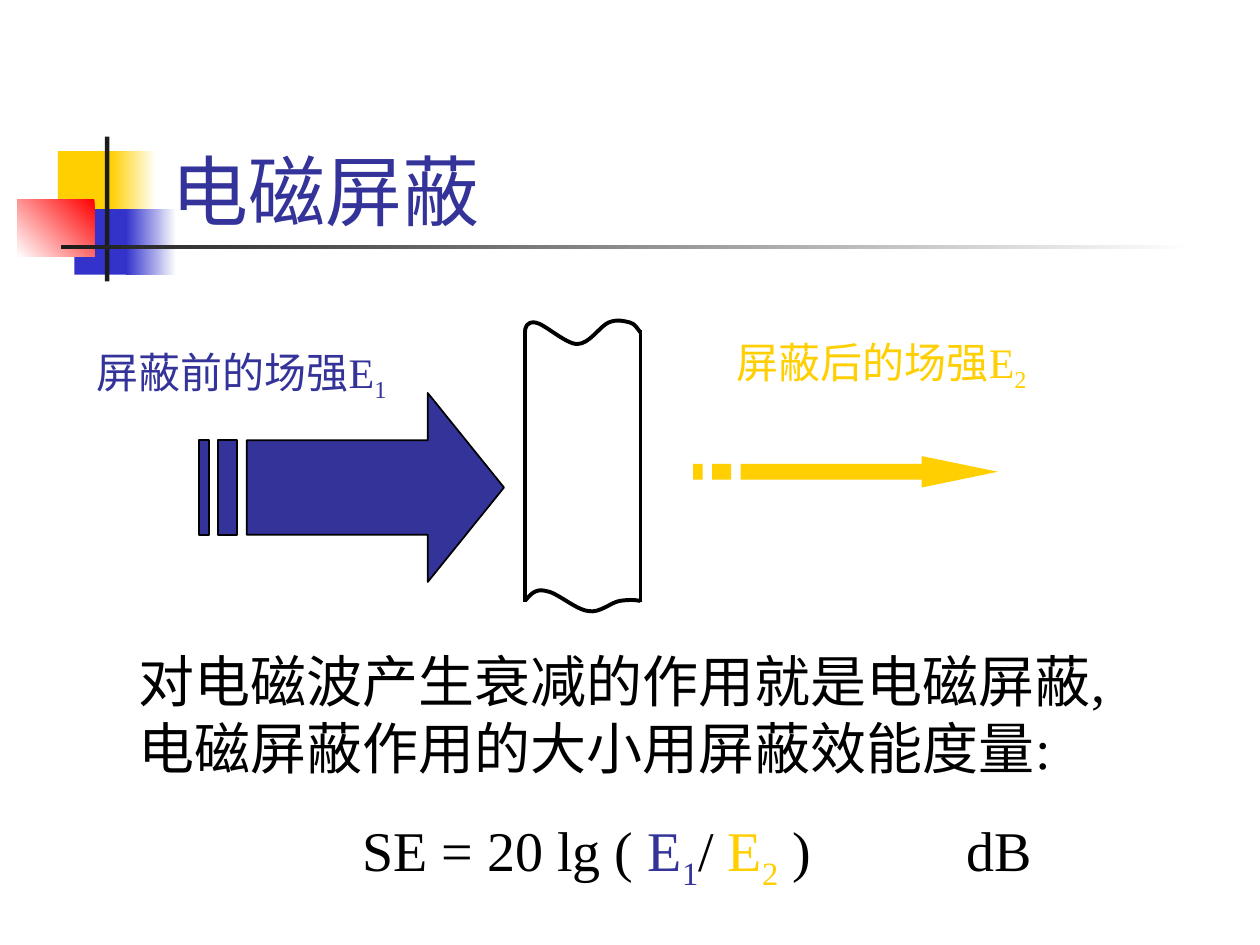
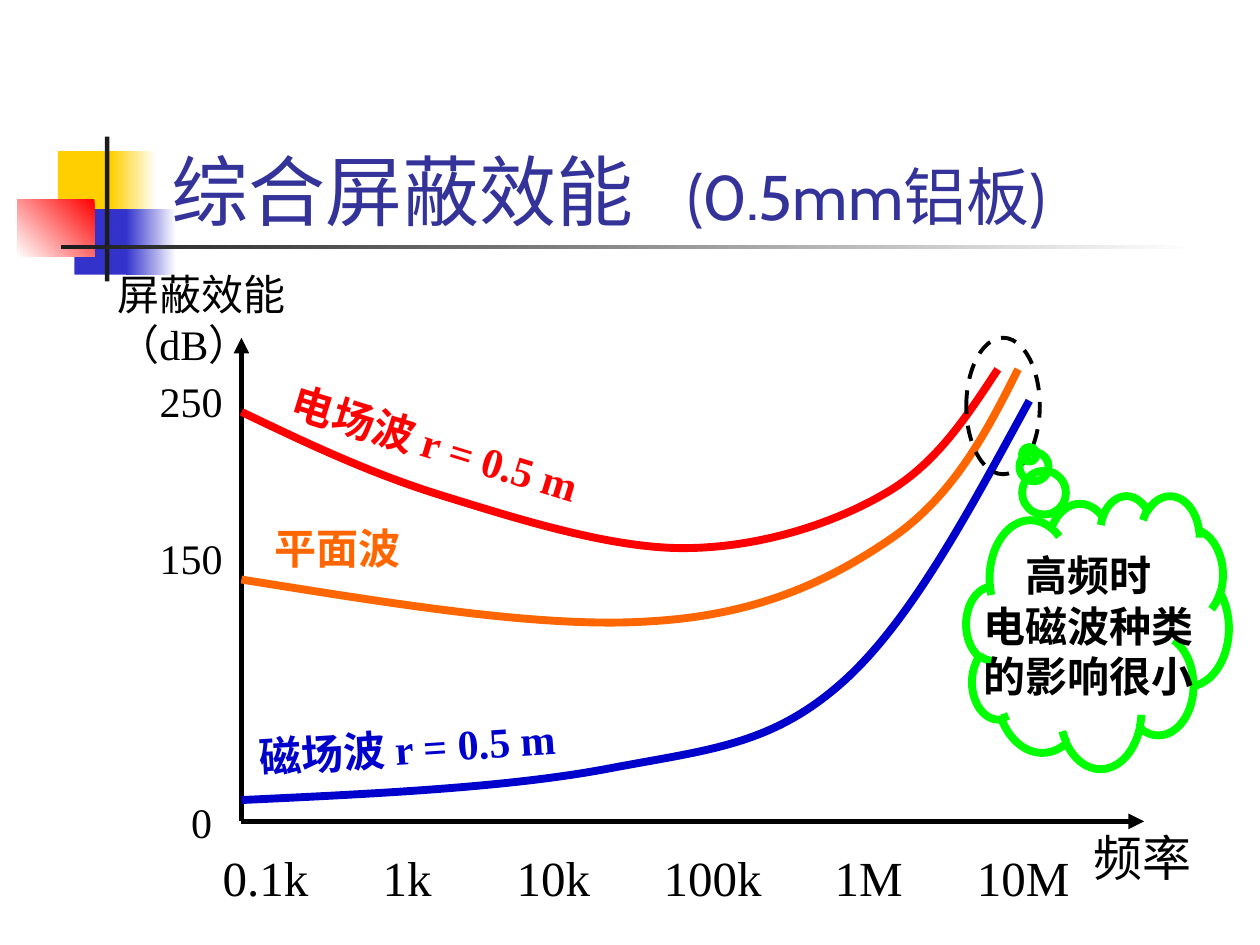
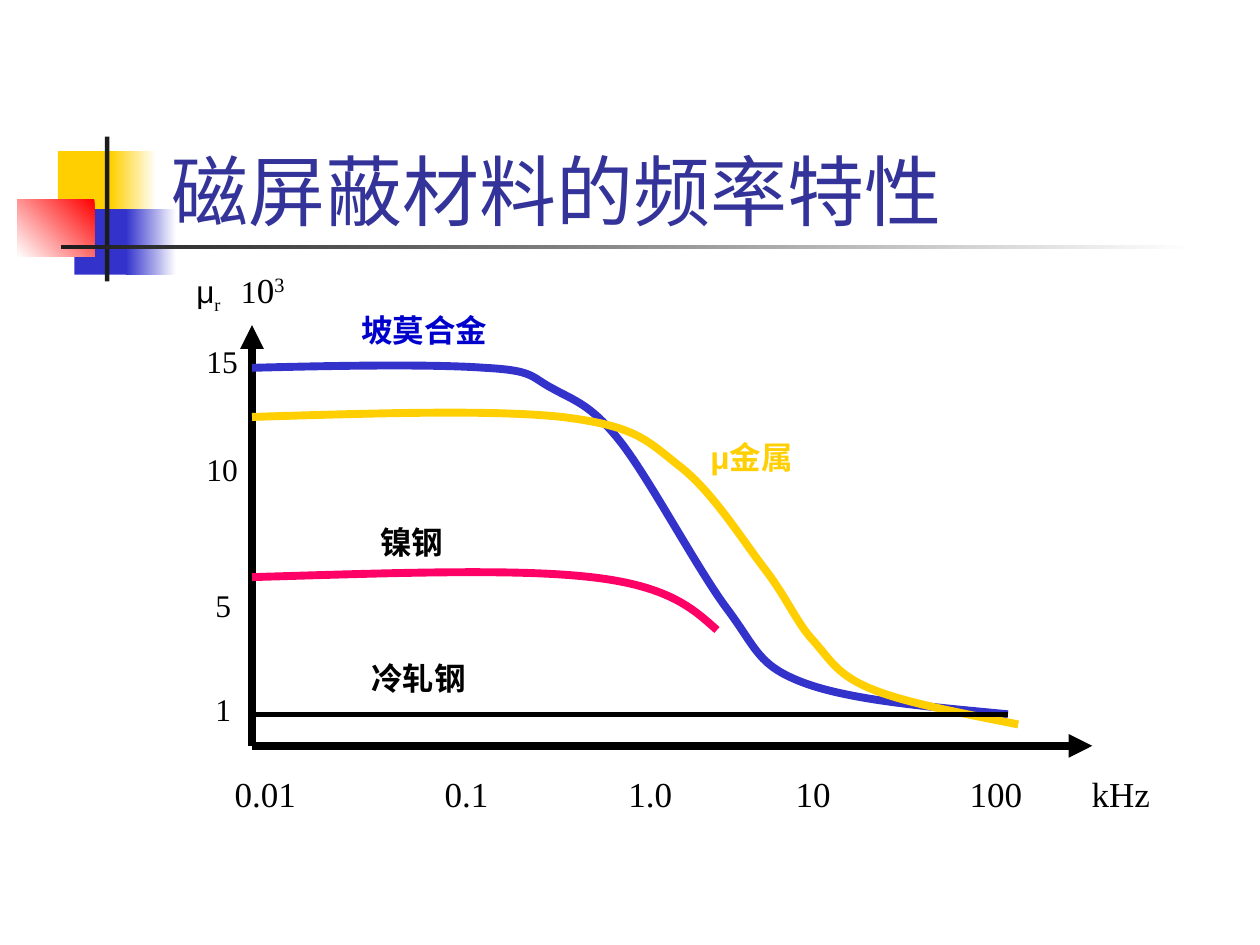
import lxml.etree
import pptx
import pptx.dml.color
import pptx.enum.dml
import pptx.enum.shapes
import pptx.enum.text
import pptx.oxml.ns
import pptx.util

Pt = pptx.util.Pt
qn = pptx.oxml.ns.qn
RGB = pptx.dml.color.RGBColor.from_string
SHAPE = pptx.enum.shapes.MSO_SHAPE
CENTER = pptx.enum.text.PP_ALIGN.CENTER

COLOURS = {
    "black": "000000",
    "white": "FFFFFF",
    "charcoal": "1C1C1C",
    "navy": "333399",
    "blue": "3333CC",
    "deep blue": "0000CC",
    "yellow": "FFCF01",
    "red": "FF0000",
    "orange": "FF6600",
    "pink": "FF0066",
    "green": "00FF00",
}


def add_stroke(page, points, colour, width, arrow=False):
    ends = [(Pt(x), Pt(y)) for x, y in points]
    if len(ends) == 2:
        straight = pptx.enum.shapes.MSO_CONNECTOR.STRAIGHT
        stroke = page.shapes.add_connector(straight, *ends[0], *ends[1])
    else:
        builder = page.shapes.build_freeform(*ends[0])
        builder.add_line_segments(ends[1:], close=False)
        stroke = builder.convert_to_shape()
        stroke.fill.background()
        outline = stroke._element.find(".//" + qn("a:path"))
        segments = outline.findall(qn("a:lnTo"))
        for start in range(0, len(segments), 3):
            bezier = lxml.etree.SubElement(outline, qn("a:cubicBezTo"))
            for segment in segments[start:start + 3]:
                bezier.append(segment[0])
                outline.remove(segment)
    stroke.line.color.rgb = RGB(COLOURS[colour])
    stroke.line.width = Pt(width)
    if arrow:
        head = lxml.etree.SubElement(stroke.line._get_or_add_ln(), qn("a:tailEnd"))
        head.set("type", "triangle")
    if len(ends) == 2:
        lxml.etree.SubElement(stroke._element.spPr, qn("a:effectLst"))
    else:
        stroke.shadow.inherit = False


def write_text(box, paragraphs, size, colour, bold=False, font="Times New Roman", tabs=()):
    frame = box.text_frame
    frame.word_wrap = True
    for number, pieces in enumerate(paragraphs):
        para = frame.add_paragraph() if number else frame.paragraphs[0]
        if tabs:
            stops = lxml.etree.SubElement(para._p.get_or_add_pPr(), qn("a:tabLst"))
            for position in tabs:
                stop = lxml.etree.SubElement(stops, qn("a:tab"))
                stop.set("pos", str(Pt(position)))
                stop.set("algn", "l")
        for piece in [(pieces, {})] if isinstance(pieces, str) else pieces:
            text, style = piece
            span = para.add_run()
            span.text = text
            span.font.size = Pt(style.get("size", size))
            span.font.name = style.get("font", font)
            span.font.bold = bold
            span.font.color.rgb = RGB(COLOURS[style.get("colour", colour)])
            if "baseline" in style:
                span._r.get_or_add_rPr().set("baseline", str(style["baseline"]))


deck = pptx.Presentation()
deck.slide_width, deck.slide_height = Pt(720), Pt(540)

DECORATION = [
    (33.12, 86.4, 34.56, 37.44, ["yellow"], None),
    (63.36, 86.4, 25.92, 37.44, ["white", "yellow"], 180),
    (42.48, 119.52, 33.12, 37.44, ["blue"], None),
    (72, 119.52, 28.8, 37.44, ["white", "blue"], 180),
    (10.08, 113.76, 43.92, 33.12, ["red", "white"], 225),
    (60, 78, 2.5, 82.8, ["charcoal"], None),
    (34.8, 140, 648, 2.5, ["white", "charcoal"], 180),
]
TITLES = [
    [("电磁屏蔽", {})],
    [("综合屏蔽效能\t", {}), ("(0.5mm铝板)", {"size": 36})],
    [("磁屏蔽材料的频率特性", {})],
]

pages = []
for title in TITLES:
    page = deck.slides.add_slide(deck.slide_layouts[6])
    pages.append(page)
    for left, top, width, height, fills, angle in DECORATION:
        block = page.shapes.add_shape(SHAPE.RECTANGLE, Pt(left), Pt(top), Pt(width), Pt(height))
        block.shadow.inherit = False
        block.line.fill.background()
        if angle is None:
            block.fill.solid()
            block.fill.fore_color.rgb = RGB(COLOURS[fills[0]])
        else:
            block.fill.gradient()
            block.fill.gradient_angle = angle
            for stop, colour in zip(block.fill.gradient_stops, fills):
                stop.color.rgb = RGB(COLOURS[colour])
    box = page.shapes.add_textbox(Pt(90.7), Pt(48.2), Pt(613.4), Pt(90))
    write_text(box, [title], 44, "navy", font="Cabin", tabs=[295])
    box.text_frame.vertical_anchor = pptx.enum.text.MSO_ANCHOR.BOTTOM

shielding, effectiveness, materials = pages

for x in (300, 366):
    add_stroke(shielding, [(x, 188.6), (x, 344.2)], "black", 2.25)
add_stroke(shielding, [
    (300, 190), (300, 187.2), (301, 183.6), (306, 184.3),
    (311, 185), (323.3, 196.6), (329.8, 196.6),
    (337, 196.6), (342.7, 186.5), (347.8, 184.3),
    (352.8, 182.2), (357.1, 183.6), (360, 184.3),
    (362.9, 185), (364.3, 187.9), (366, 190),
], "black", 2.25)
add_stroke(shielding, [
    (300, 343.4), (303.1, 339.8), (306, 336.2), (311.8, 337.7),
    (318.2, 338.4), (329, 348.5), (336.2, 349.2),
    (342.7, 350.6), (349.2, 344.2), (354.2, 343.4),
    (359.3, 342.7), (362.2, 342.7), (366, 343.4),
], "black", 2.25)

BODY = [(5 / 32, 1 / 4), (3 / 4, 1 / 4), (3 / 4, 0), (1, 1 / 2),
        (3 / 4, 1), (3 / 4, 3 / 4), (5 / 32, 3 / 4)]
STRIPES = [[(start, 1 / 4), (end, 1 / 4), (end, 3 / 4), (start, 3 / 4)]
           for start, end in ((0, 1 / 32), (1 / 16, 1 / 8))]
for left, top, width, height, colour, outlined in [
    (113.8, 224.6, 174.2, 108, "navy", True),
    (396, 260.6, 174.2, 18, "yellow", False),
]:
    contours = [[(Pt(left + x * width), Pt(top + y * height)) for x, y in contour]
                for contour in [BODY, *STRIPES]]
    builder = shielding.shapes.build_freeform(*contours[0][0])
    builder.add_line_segments(contours[0][1:], close=True)
    for contour in contours[1:]:
        builder.move_to(*contour[0])
        builder.add_line_segments(contour[1:], close=True)
    wave = builder.convert_to_shape()
    wave.shadow.inherit = False
    wave.fill.solid()
    wave.fill.fore_color.rgb = RGB(COLOURS[colour])
    if outlined:
        wave.line.color.rgb = RGB(COLOURS["black"])
        wave.line.width = Pt(1)
    else:
        wave.line.fill.background()

for page, corner, top, right, width in [
    (effectiveness, (138, 469.4), 193, 653.8, 3),
    (materials, (144, 426.2), 185.8, 624.2, 4.5),
]:
    add_stroke(page, [corner, (corner[0], top)], "black", width, arrow=True)
    add_stroke(page, [corner, (right, corner[1])], "black", width, arrow=True)

CURVES = [
    (effectiveness, "red", [
        (138, 235.4), (174.2, 252.7), (210.2, 270), (252, 283),
        (293.8, 295.9), (347.8, 313.2), (390.2, 313.2),
        (432, 313.2), (473.8, 300.2), (504, 283),
        (534.2, 266.4), (552.2, 238.3), (570.2, 211)]),
    (effectiveness, "orange", [
        (138, 331.2), (223.9, 344.9), (310.3, 359.3), (372.2, 355),
        (434.2, 351.4), (475.2, 331.2), (509.8, 307.4),
        (545, 283), (563.8, 247), (581.8, 211)]),
    (effectiveness, "deep blue", [
        (138, 457.2), (214.6, 453.6), (290.9, 450), (347.8, 439.2),
        (404.6, 428.4), (439.9, 426.2), (480.2, 391),
        (519.8, 356.4), (553.7, 292.3), (588.2, 229)]),
    (materials, "blue", [
        (144, 210.2), (195.8, 208.8), (248.4, 208.1), (277.2, 210.2),
        (305.3, 211.7), (303.1, 215.3), (315.4, 221.8),
        (328.3, 229), (337.7, 231.1), (354.2, 252),
        (370.8, 272.9), (398.2, 324.7), (415.4, 347.8),
        (432.7, 370.8), (432.7, 380.2), (459.4, 390.2),
        (486.7, 400.3), (531.4, 403.9), (576, 408.2)]),
    (materials, "yellow", [
        (144, 238.3), (212.4, 236.2), (280.8, 234), (321.1, 238.3),
        (362.2, 243.4), (368.6, 250.6), (387.4, 265.7),
        (406.8, 280.1), (424.8, 309.6), (437.8, 326.2),
        (450.7, 343.4), (455, 355.7), (465.1, 366.5),
        (475.2, 378), (478.8, 385.9), (498.2, 393.8),
        (517.7, 401.8), (549.4, 407.5), (581.8, 414)]),
    (materials, "pink", [
        (144, 329.8), (218.9, 327.6), (293.8, 324.7), (337.7, 329.8),
        (382.3, 334.8), (396, 347.8), (409.7, 360)]),
]
for page, colour, points in CURVES:
    add_stroke(page, points, colour, 4.5)
add_stroke(materials, [(144, 408.2), (576, 408.2)], "black", 3)

ring = effectiveness.shapes.add_shape(SHAPE.OVAL, Pt(552.2), Pt(193), Pt(42), Pt(78))
ring.line.dash_style = pptx.enum.dml.MSO_LINE.DASH
cloud = effectiveness.shapes.add_shape(
    SHAPE.CLOUD_CALLOUT, Pt(552.2), Pt(283), Pt(150), Pt(156))
cloud.adjustments[0] = -0.26
cloud.adjustments[1] = -0.65
for shape, colour, width in ((ring, "black", 2.25), (cloud, "green", 4.5)):
    shape.shadow.inherit = False
    shape.fill.background()
    shape.line.color.rgb = RGB(COLOURS[colour])
    shape.line.width = Pt(width)
write_text(cloud, ["高频时", "电磁波种类", "的影响很小"], 24, "black", bold=True)
cloud.text_frame.word_wrap = False
cloud.text_frame.vertical_anchor = pptx.enum.text.MSO_ANCHOR.MIDDLE
for para in cloud.text_frame.paragraphs:
    para.alignment = CENTER

subscript = {"baseline": -25000}
LABELS = [
    (shielding, (48.2, 194.4, 192.2, 40.3), [("屏蔽前的场强E", {}), ("1", subscript)], 24, "navy", False),
    (shielding, (414, 188.6, 192.2, 40.3), [("屏蔽后的场强E", {}), ("2", subscript)], 24, "yellow", False),
    (effectiveness, (84.2, 301, 60, 36), "150", 24, "black", False),
    (effectiveness, (84.2, 211, 60, 36), "250", 24, "black", False),
    (effectiveness, (102.2, 451.4, 36, 36), "0", 24, "black", False),
    (effectiveness, (150, 295.2, 120.2, 36), "平面波", 24, "orange", True),
    (effectiveness, (60, 149.8, 113.8, 64.8), "屏蔽效能（dB）", 24, "black", False),
    (effectiveness, (617.8, 469.4, 77.8, 41), "频率", 28, "black", False),
    (materials, (116, 391, 22.3, 28.8), "1", 18, "black", False),
    (materials, (116, 331.2, 22.3, 28.8), "5", 18, "black", False),
    (materials, (110.9, 253.4, 33.1, 28.8), "10", 18, "black", False),
    (materials, (110.9, 192.2, 33.1, 28.8), "15", 18, "black", False),
    (materials, (199.4, 174.2, 88.6, 28.8), "坡莫合金", 18, "deep blue", True),
    (materials, (398.9, 247, 88.6, 28.8), [("μ", {"font": "Arial"}), ("金属", {})], 18, "yellow", True),
    (materials, (210.2, 295.2, 88.6, 28.8), "镍钢", 18, "black", True),
    (materials, (205.2, 373, 88.6, 28.8), "冷轧钢", 18, "black", True),
]
for page, place, pieces, size, colour, bold in LABELS:
    box = page.shapes.add_textbox(*map(Pt, place))
    write_text(box, [pieces], size, colour, bold)

field_label = effectiveness.shapes.add_textbox(Pt(149.8), Pt(235.4), Pt(198), Pt(36))
write_text(field_label, ["电场波 r = 0.5 m"], 24, "red", bold=True)
field_label.text_frame.paragraphs[0].alignment = CENTER
field_label.rotation = 17.1
magnetic_label = effectiveness.shapes.add_textbox(Pt(141.1), Pt(409), Pt(190.1), Pt(36))
write_text(magnetic_label, ["磁场波 r = 0.5 m"], 24, "deep blue", bold=True)
magnetic_label.text_frame.word_wrap = False
magnetic_label.rotation = 356.3

frequencies = effectiveness.shapes.add_textbox(Pt(120.2), Pt(481), Pt(540), Pt(41))
write_text(frequencies, ["0.1k\t1k\t10k\t100k\t1M\t10M"], 28, "black",
           tabs=[91.4, 168, 252, 349.7, 431])
frequencies = materials.shapes.add_textbox(Pt(127), Pt(437.8), Pt(539), Pt(31.7))
write_text(frequencies, ["0.01\t0.1\t1.0\t10\t100\tkHz"], 20, "black",
           tabs=[120, 225, 320.6, 420, 489.7])
permeability = materials.shapes.add_textbox(Pt(105.1), Pt(149.8), Pt(77.8), Pt(33.8))
write_text(permeability, [[
    ("μ", {"font": "Arial"}), ("r", subscript), ("\t1", {}),
    ("0", {"size": 20}), ("3", {"size": 20, "baseline": 30000}),
]], 18, "black", tabs=[25.5])

definition = shielding.shapes.add_textbox(Pt(72), Pt(365.8), Pt(576), Pt(174))
write_text(definition, [
    "对电磁波产生衰减的作用就是电磁屏蔽,电磁屏蔽作用的大小用屏蔽效能度量:",
    [
        ("\tSE = 20 lg ( ", {}),
        ("E", {"colour": "navy"}),
        ("1", {"colour": "navy", **subscript}),
        ("/ ", {}),
        ("E", {"colour": "yellow"}),
        ("2", {"colour": "yellow", **subscript}),
        (" )\tdB", {}),
    ],
], 32, "black", tabs=[128, 473])
definition.text_frame.paragraphs[1].space_before = Pt(20)

deck.save("out.pptx")
